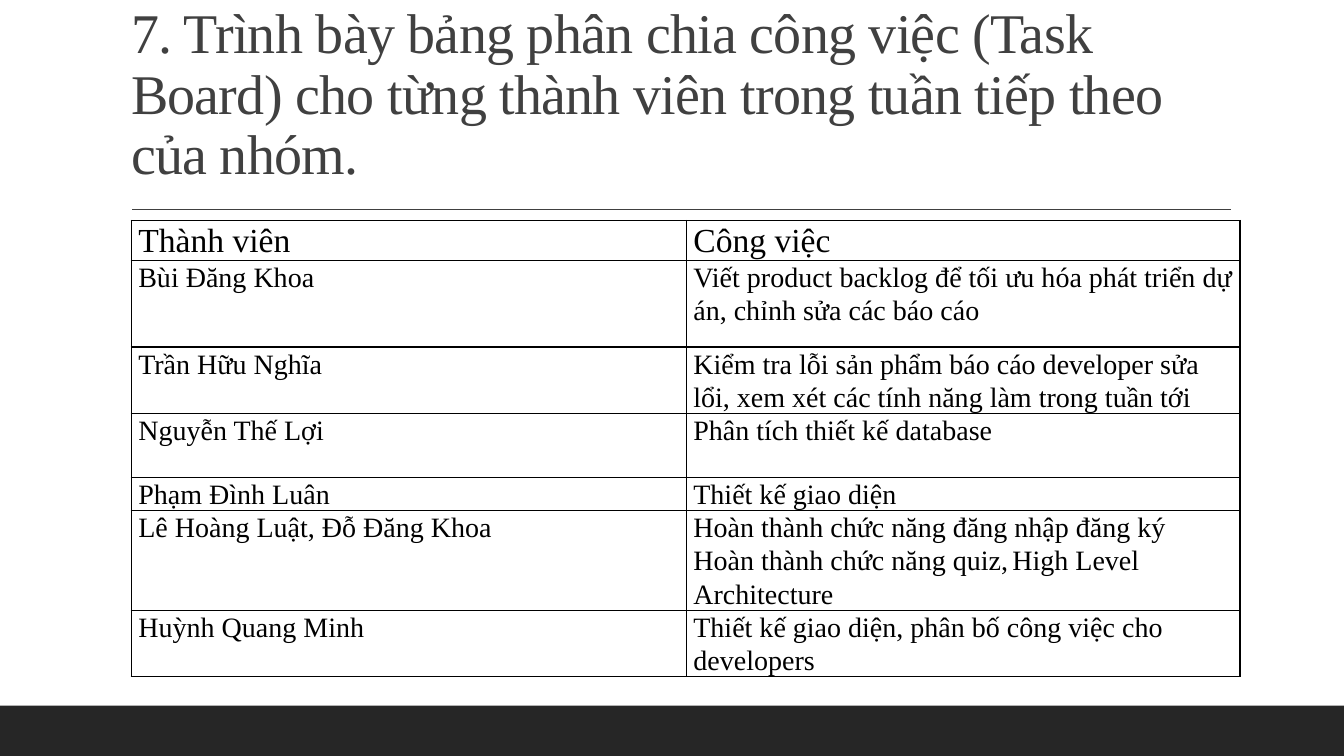
from dataclasses import dataclass

from lxml.etree import SubElement
from pptx import Presentation
from pptx.dml.color import RGBColor as RGB
from pptx.enum.shapes import MSO_CONNECTOR as Link, MSO_SHAPE as Shape
from pptx.enum.text import MSO_ANCHOR as Anchor, MSO_AUTO_SIZE as Fit
from pptx.oxml.ns import qn
from pptx.util import Pt


@dataclass(frozen=True)
class Theme:
    font: str = "Times New Roman"
    ink: str = "000000"
    gray: str = "404040"
    dark: str = "262626"
    title: int = 40
    head: int = 24
    body: int = 20
    small: int = 11


class Deck:
    def __init__(self, theme, wide, high):
        self.theme = theme
        self.file = Presentation()
        self.file.slide_width, self.file.slide_height = Pt(wide), Pt(high)
        self.slide = self.file.slides.add_slide(self.file.slide_layouts[5])
        self.shapes = self.slide.shapes

    def style(self, para, size, color, space):
        font = para.font
        font.name, font.size, font.bold = self.theme.font, Pt(size), False
        font.color.rgb = RGB.from_string(color)
        para.line_spacing = space

    def title(self, text, *box):
        shape = self.shapes.title
        shape.left, shape.top, shape.width, shape.height = map(Pt, box)
        frame = shape.text_frame
        frame.word_wrap, frame.auto_size = True, Fit.NONE
        frame.vertical_anchor = Anchor.BOTTOM
        para = frame.paragraphs[0]
        run = para.add_run()
        run.text = text
        run._r.get_or_add_rPr().set("spc", "-50")
        para.alignment = 1
        self.style(para, self.theme.title, self.theme.gray, 0.9)

    def bar(self, *box):
        shape = self.shapes.add_shape(Shape.RECTANGLE, *map(Pt, box))
        shape.shadow.inherit = False
        shape.fill.solid()
        shape.fill.fore_color.rgb = RGB.from_string(self.theme.dark)
        shape.line.fill.background()

    def rule(self, *ends):
        line = self.shapes.add_connector(Link.STRAIGHT, *map(Pt, ends))
        line.line.width = Pt(1)
        line.line.color.rgb = RGB.from_string(self.theme.gray)
        SubElement(line._element.spPr, qn("a:effectLst"))

    def table(self, rows, left, top, widths, heights):
        frame = self.shapes.add_table(
            len(rows), len(widths), Pt(left), Pt(top),
            Pt(sum(widths)), Pt(sum(heights)))
        grid = frame.table
        grid.first_row = grid.horz_banding = False
        for col, width in zip(grid.columns, widths):
            col.width = Pt(width)
        for i, (row, height) in enumerate(zip(rows, heights)):
            grid.rows[i].height = Pt(height)
            size = self.theme.body if i else self.theme.head
            for cell, text in zip(grid.rows[i].cells, row):
                self.cell(cell, text, size)

    def cell(self, cell, text, size):
        """Fill a cell; text is a string or a list of (string, size) runs."""
        cell.margin_left = cell.margin_right = Pt(5)
        cell.margin_top = cell.margin_bottom = 0
        para = cell.text_frame.paragraphs[0]
        self.style(para, size, self.theme.ink, 1.07)
        for part, points in [(text, size)] if isinstance(text, str) else text:
            run = para.add_run()
            run.text = part
            if points != size:
                run.font.size = Pt(points)
        props = cell._tc.get_or_add_tcPr()
        for side in ("lnL", "lnR", "lnT", "lnB"):
            edge = SubElement(props, qn(f"a:{side}"), w=str(Pt(1)))
            fill = SubElement(edge, qn("a:solidFill"))
            SubElement(fill, qn("a:srgbClr"), val=self.theme.ink)
        cell.fill.background()


THEME = Theme()
TASKS = [
    ("Thành viên", "Công việc"),
    ("Bùi Đăng Khoa",
     "Viết product backlog để tối ưu hóa phát triển dự án, "
     "chỉnh sửa các báo cáo"),
    ("Trần Hữu Nghĩa",
     "Kiểm tra lỗi sản phẩm báo cáo developer sửa lổi, "
     "xem xét các tính năng làm trong tuần tới"),
    ("Nguyễn Thế Lợi", "Phân tích thiết kế database"),
    ("Phạm Đình Luân", "Thiết kế giao diện"),
    ("Lê Hoàng Luật, Đỗ Đăng Khoa",
     [("Hoàn thành chức năng đăng nhập đăng ký "
       "Hoàn thành chức năng quiz,", THEME.body),
      (" ", THEME.small),
      ("High Level Architecture", THEME.body)]),
    ("Huỳnh Quang Minh",
     "Thiết kế giao diện, phân bố công việc cho developers"),
]


def main():
    deck = Deck(THEME, 960, 540)
    deck.bar(0, 504, 960, 36)
    deck.rule(94.5, 149.5, 879, 149.5)
    deck.title("7. Trình bày bảng phân chia công việc (Task Board) "
               "cho từng thành viên trong tuần tiếp theo của nhóm.",
               86.4, 22.5, 792, 114.5)
    deck.table(TASKS, 93.8, 157.5, (396.5, 395.5),
               (24, 62, 45.5, 45.5, 23, 62, 45.5))
    deck.file.save("out.pptx")


if __name__ == "__main__":
    main()
